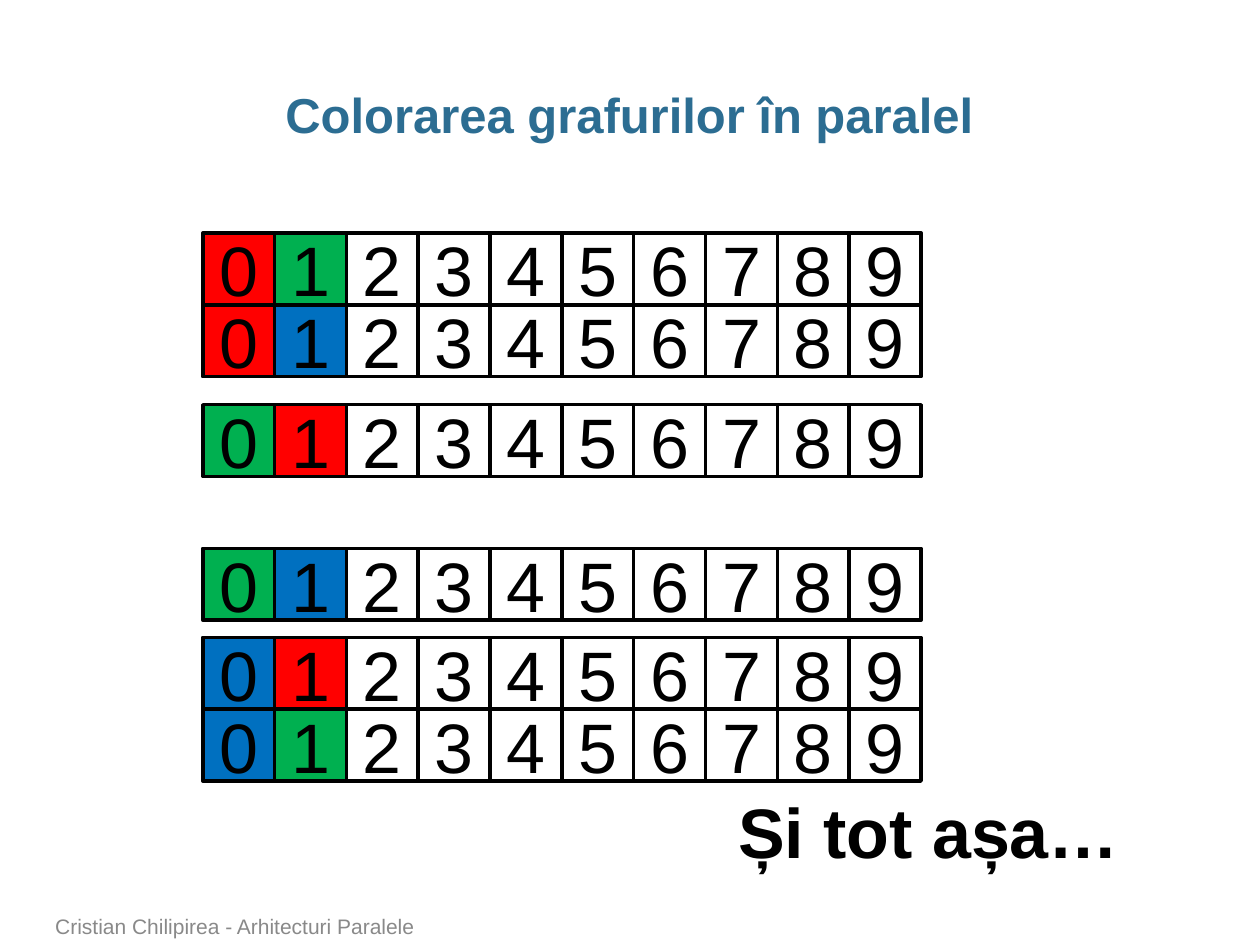
"""Build the slide on colouring a graph in parallel."""
from dataclasses import dataclass

from pptx import Presentation
from pptx.dml.color import RGBColor
from pptx.enum.shapes import MSO_SHAPE
from pptx.enum.text import MSO_ANCHOR, MSO_AUTO_SIZE, PP_ALIGN
from pptx.util import Inches, Pt

RECTANGLE = MSO_SHAPE.RECTANGLE
TOP, MIDDLE, BOTTOM = MSO_ANCHOR.TOP, MSO_ANCHOR.MIDDLE, MSO_ANCHOR.BOTTOM
LEFT, CENTER = PP_ALIGN.LEFT, PP_ALIGN.CENTER
FIXED, GROW = MSO_AUTO_SIZE.NONE, MSO_AUTO_SIZE.SHAPE_TO_FIT_TEXT
TITLE_ONLY = 5


@dataclass(frozen=True)
class Theme:
    """Colours, type sizes and grid measures."""
    font: str = "Arial"
    heading: str = "2C6D92"
    ink: str = "000000"
    muted: str = "898989"
    red: str = "FF0000"
    green: str = "00B050"
    blue: str = "0070C0"
    white: str = "FFFFFF"
    title_size: int = 28
    large_size: int = 40
    footer_size: int = 12
    border: int = 2
    cell: float = 0.57
    grid_left: float = 1.61
    grid_top: float = 1.85


class SlideBuilder:
    """Holds the theme and the current slide."""

    def __init__(self, deck, theme):
        """Add a title-only slide to the deck."""
        self.theme = theme
        self.width, self.height = deck.slide_width, deck.slide_height
        self.slide = deck.slides.add_slide(deck.slide_layouts[TITLE_ONLY])

    def box(self, left, top, width, height):
        """Turn percentages of the slide into lengths."""
        return (round(self.width * left / 100), round(self.height * top / 100),
                round(self.width * width / 100), round(self.height * height / 100))

    def set_text(self, frame, text, size, color, bold=False, align=LEFT, anchor=TOP):
        """Set one formatted paragraph and return it."""
        frame.text = text
        frame.vertical_anchor = anchor
        paragraph = frame.paragraphs[0]
        paragraph.alignment = align
        font = paragraph.font
        font.name, font.size, font.bold = self.theme.font, Pt(size), bold
        font.color.rgb = RGBColor.from_string(color)
        return paragraph

    def title(self, text, *shares):
        """Place and fill the title placeholder."""
        title = self.slide.shapes.title
        title.left, title.top, title.width, title.height = self.box(*shares)
        frame = title.text_frame
        frame.auto_size = FIXED
        frame.margin_left = frame.margin_right = 0
        paragraph = self.set_text(frame, text, self.theme.title_size,
                                  self.theme.heading, True, CENTER, MIDDLE)
        paragraph.line_spacing = 0.95

    def label(self, text, shares, size, color, bold=False, anchor=TOP, wrap=True):
        """Add a text box."""
        frame = self.slide.shapes.add_textbox(*self.box(*shares)).text_frame
        frame.word_wrap = wrap
        frame.auto_size = FIXED if wrap else GROW
        self.set_text(frame, text, size, color, bold, anchor=anchor)

    def node(self, column, row, fill=None):
        """Add a numbered graph node at a grid position."""
        theme = self.theme
        side = Inches(theme.cell)
        node = self.slide.shapes.add_shape(
            RECTANGLE, Inches(theme.grid_left + column * theme.cell),
            Inches(theme.grid_top + row * theme.cell), side, side)
        node.shadow.inherit = False
        if fill:
            node.fill.solid()
            node.fill.fore_color.rgb = RGBColor.from_string(fill)
        else:
            node.fill.background()
        node.line.color.rgb = RGBColor.from_string(theme.ink)
        node.line.width = Pt(theme.border)
        self.set_text(node.text_frame, str(column), theme.large_size, theme.ink,
                      align=CENTER, anchor=MIDDLE)

    def coloring(self, row, fills, count=10):
        """Add a row of nodes whose first ones are filled."""
        for column in range(count):
            self.node(column, row, fills[column] if column < len(fills) else None)


def main():
    """Build and save the deck."""
    deck = Presentation()
    deck.slide_width, deck.slide_height = Inches(10), Inches(7.5)
    theme = Theme()
    red, green, blue = theme.red, theme.green, theme.blue
    colorings = {
        0: (red, green),
        1: (red, blue),
        2.39: (green, red),
        4.39: (green, blue),
        5.63: (blue, red),
        6.63: (blue, green),
    }
    page = SlideBuilder(deck, theme)
    page.title("Colorarea grafurilor în paralel", 3.4, 9.07, 93.1, 6.67)
    for row, chosen in colorings.items():
        page.coloring(row, (*chosen, theme.white))
    page.label("Și tot așa…", (57.6, 82.8, 32.6, 10.27), theme.large_size,
               theme.ink, bold=True, wrap=False)
    page.label("Cristian Chilipirea - Arhitecturi Paralele", (3.4, 96.27, 73.7, 3.73),
               theme.footer_size, theme.muted, anchor=BOTTOM)
    deck.save("out.pptx")


main()
